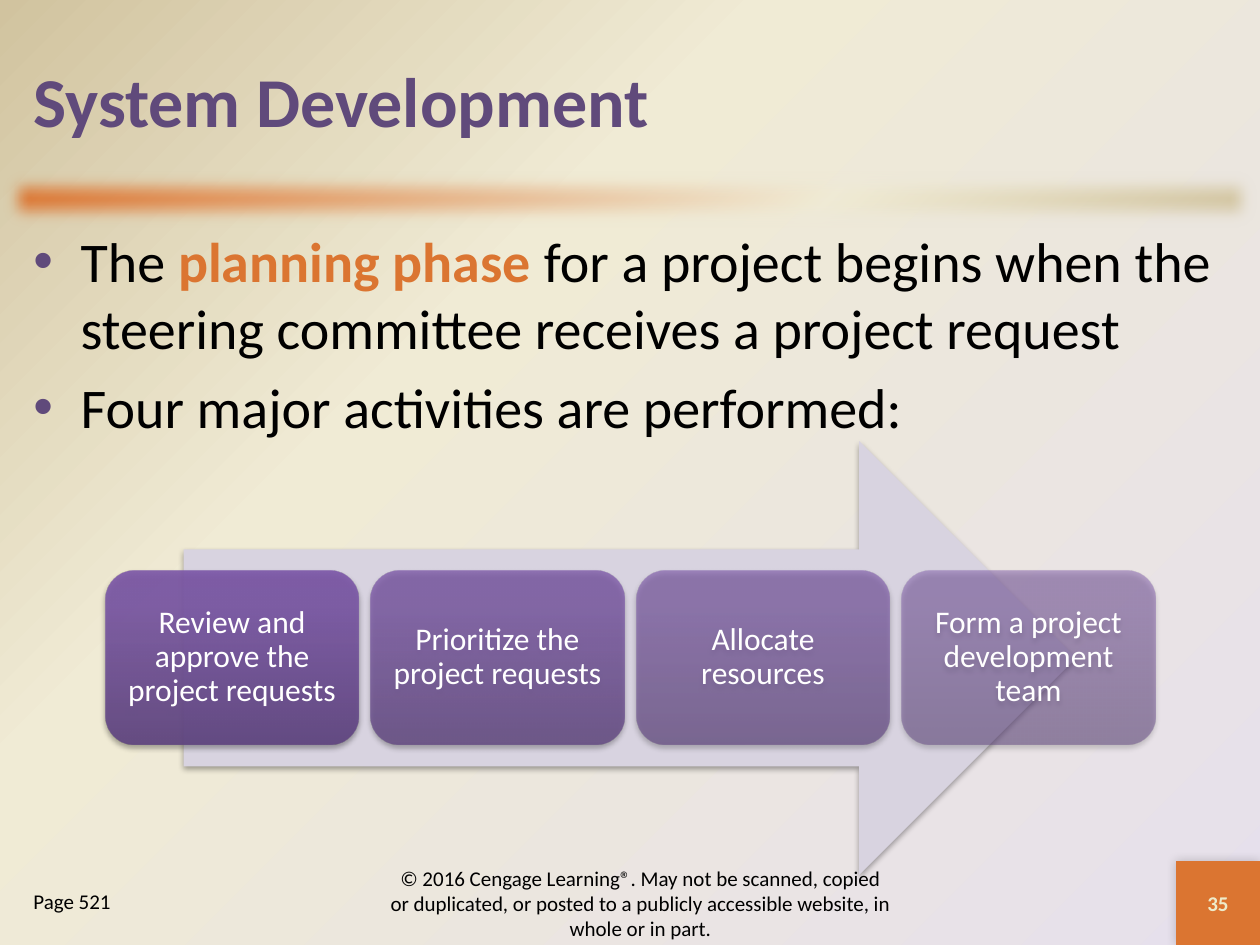
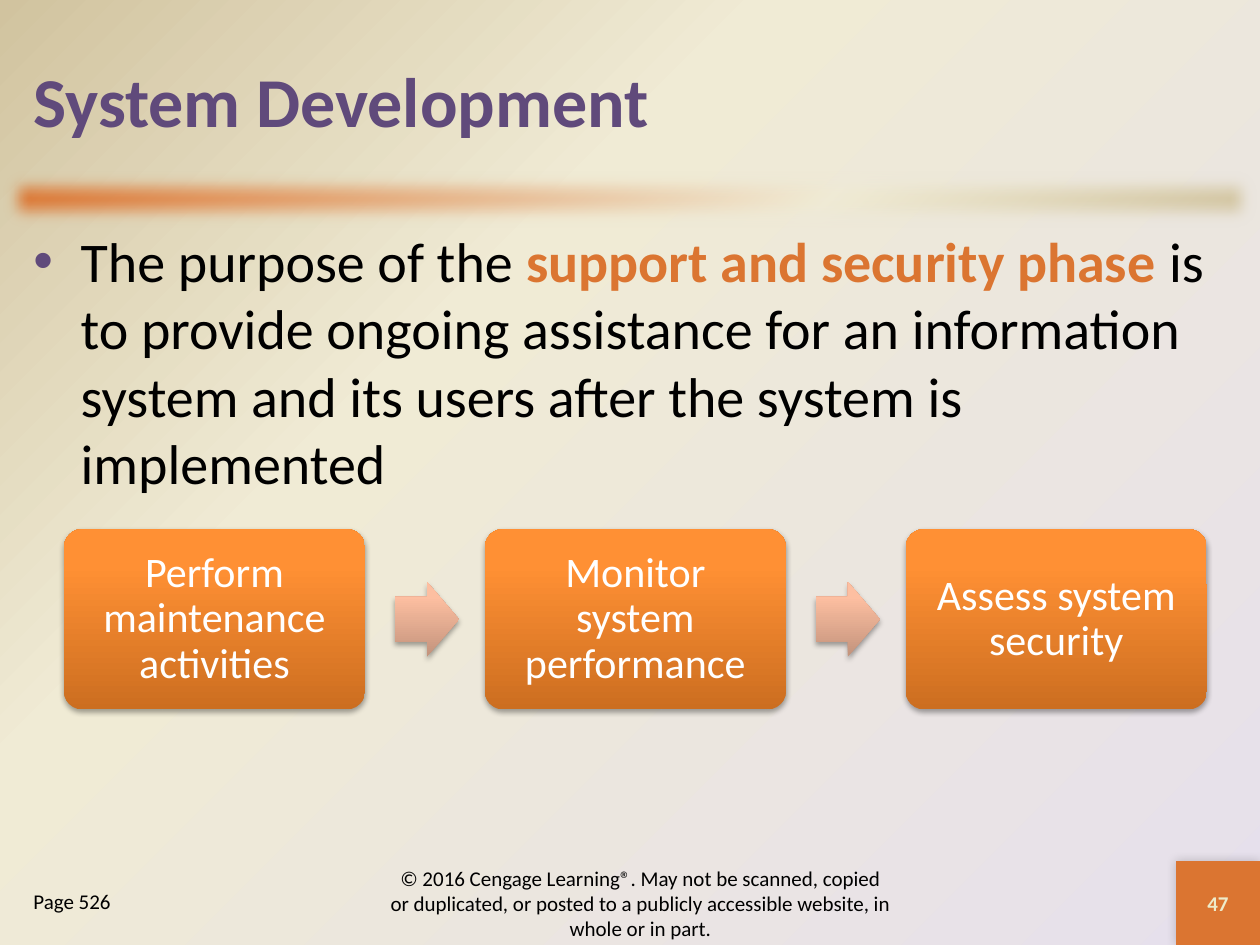
from lxml import etree
from pptx import Presentation
from pptx.dml.color import RGBColor
from pptx.enum import shapes, text
from pptx.oxml import parse_xml
from pptx.oxml.ns import nsdecls, qn
from pptx.util import Pt

BLACK, WHITE, CREAM = "000000", "FFFFFF", "EEEBCA"
PURPLE, ORANGE, LAVENDER = "604A7B", "DB7531", "D8D3E0"
BACKDROP = [(0, "E6E0EC"), (65, "F0EBD5"), (100, "D1C39F")]
BAND = [(0, ORANGE)] + BACKDROP[1:]
PURPLE_CARD = [(0, "5F4480"), (80, "7B58A6"), (100, "7C57A8")]
ORANGE_CARD = [(0, "CC6E20"), (80, "FF9034"), (100, "FF9136")]
PEACH_ARROW = [(0, "C3937C"), (80, "FDBFA1"), (100, "FFBFA1")]
CARD_SHADOW = dict(alpha=35, blur=3.1, distance=1.8, direction=90)
COPYRIGHT = ("© 2016 Cengage Learning®. May not be scanned, copied or duplicated, "
             "or posted to a publicly accessible website, in whole or in part.")
RECT = shapes.MSO_SHAPE.RECTANGLE
ROUNDED = shapes.MSO_SHAPE.ROUNDED_RECTANGLE
ARROW = shapes.MSO_SHAPE.RIGHT_ARROW
CENTER = text.PP_ALIGN.CENTER
TOP, MIDDLE = text.MSO_ANCHOR.TOP, text.MSO_ANCHOR.MIDDLE


def color(hex_string):
    return RGBColor.from_string(hex_string)


def set_gradient(holder, stops, direction, alpha=100):
    """Swap the solid fill inside holder for a gradient; direction is its closing XML."""
    stop_xml = "".join(
        f'<a:gs pos="{pos * 1000}"><a:srgbClr val="{tone}">'
        f'<a:alpha val="{alpha * 1000}"/></a:srgbClr></a:gs>' for pos, tone in stops)
    gradient = parse_xml(f'<a:gradFill {nsdecls("a")} rotWithShape="1">'
                         f'<a:gsLst>{stop_xml}</a:gsLst>{direction}</a:gradFill>')
    holder.replace(holder.find(qn("a:solidFill")), gradient)


def linear(angle):
    return f'<a:lin ang="{angle * 60000}" scaled="0"/>'


def add_effect(shape, xml):
    shape.element.spPr.find(qn("a:effectLst")).append(parse_xml(xml))


def shadow_xml(alpha, blur, distance, direction):
    return (f'<a:outerShdw {nsdecls("a")} blurRad="{Pt(blur)}" dist="{Pt(distance)}" '
            f'dir="{direction * 60000}" rotWithShape="0"><a:srgbClr val="{BLACK}">'
            f'<a:alpha val="{alpha * 1000}"/></a:srgbClr></a:outerShdw>')


def add_bullet(paragraph, indent):
    properties = paragraph._p.get_or_add_pPr()
    properties.set("marL", str(Pt(indent)))
    properties.set("indent", str(-Pt(indent)))
    tone = etree.SubElement(properties, qn("a:buClr"))
    etree.SubElement(tone, qn("a:srgbClr")).set("val", PURPLE)
    etree.SubElement(properties, qn("a:buFont")).set("typeface", "Arial")
    etree.SubElement(properties, qn("a:buChar")).set("char", "•")


def write(shape, paragraphs, size=12, tone=BLACK, bold=False, align=text.PP_ALIGN.LEFT,
          anchor=TOP, inset=None, spacing=None, bullets=False, gap=0):
    """Fill shape with paragraphs, each a string or a list of strings whose odd items are key terms."""
    frame = shape.text_frame
    frame.word_wrap = True
    frame.vertical_anchor = anchor
    if inset is not None:
        frame.margin_left = frame.margin_right = Pt(inset)
        frame.margin_top = frame.margin_bottom = Pt(inset)
    for number, content in enumerate(paragraphs):
        paragraph = frame.add_paragraph() if number else frame.paragraphs[0]
        paragraph.alignment = align
        if spacing:
            paragraph.line_spacing = spacing
        if number:
            paragraph.space_before = Pt(gap)
        if bullets:
            add_bullet(paragraph, 27)
        for part, words in enumerate([content] if isinstance(content, str) else content):
            key_term = part % 2 == 1
            run = paragraph.add_run()
            run.text = words
            run.font.name = "Calibri"
            run.font.size = Pt(size)
            run.font.bold = bold or key_term
            run.font.color.rgb = color(ORANGE if key_term else tone)


class Deck:
    """Holds the presentation, its style and the slide being built."""

    def __init__(self):
        self.presentation = Presentation()
        self.presentation.slide_width, self.presentation.slide_height = Pt(720), Pt(540)
        self.slide = None

    def shape(self, kind, box, fill, angle=270, alpha=100, shadow=None, adjustments=()):
        """Add a borderless preset shape; fill is a hex string or a list of gradient stops."""
        shape = self.slide.shapes.add_shape(kind, *map(Pt, box))
        for index, value in enumerate(adjustments):
            shape.adjustments[index] = value
        solid = isinstance(fill, str)
        shape.fill.solid()
        shape.fill.fore_color.rgb = color(fill if solid else fill[0][1])
        if not solid:
            set_gradient(shape.element.spPr, fill, linear(angle), alpha)
        shape.line.fill.background()
        shape.shadow.inherit = False
        if shadow:
            add_effect(shape, shadow_xml(**shadow))
        return shape

    def text_box(self, box, paragraphs, **style):
        write(self.slide.shapes.add_textbox(*map(Pt, box)), paragraphs, **style)

    def card(self, box, label, fill, size, inset, **look):
        card = self.shape(ROUNDED, box, fill, shadow=CARD_SHADOW, **look)
        write(card, [label], size=size, tone=WHITE, align=CENTER, anchor=MIDDLE,
              inset=inset, spacing=0.9)

    def new_slide(self, title, points, page, number):
        """Start a slide with backdrop, band, title, bullet points and footer."""
        self.slide = self.presentation.slides.add_slide(self.presentation.slide_layouts[6])
        backdrop = self.slide.background.fill
        backdrop.solid()
        backdrop.fore_color.rgb = color(BACKDROP[0][1])
        set_gradient(self.slide.element.find(".//" + qn("p:bgPr")), BACKDROP,
                     '<a:path path="circle"><a:fillToRect l="100000" t="100000"/></a:path>')
        band = self.shape(RECT, (0, 96, 720, 36), BAND, angle=45)
        add_effect(band, f'<a:softEdge {nsdecls("a")} rad="{Pt(10)}"/>')
        number_tile = self.shape(RECT, (672, 492, 48, 48), ORANGE, shadow=dict(
            alpha=20, blur=6, distance=0, direction=225))
        write(number_tile, [number], tone=CREAM, bold=True, align=CENTER, anchor=MIDDLE)
        self.text_box((12, 12, 696, 90), [title], size=40, tone=PURPLE, bold=True, anchor=MIDDLE)
        self.text_box((12, 126, 696, 366), points, size=32, bullets=True, gap=6.4)
        self.text_box((216, 498, 300, 36), [COPYRIGHT], align=CENTER, anchor=MIDDLE)
        self.text_box((12, 504, 132, 36), [page])


def planning_slide(deck):
    deck.new_slide("System Development", [
        ["The ", "planning phase ",
         "for a project begins when the steering committee receives a project request"],
        "Four major activities are performed:"], "Page 521", "35")
    deck.shape(ARROW, (105, 252, 510, 248), LAVENDER, shadow=CARD_SHADOW)
    activities = ["Review and approve the project requests", "Prioritize the project requests",
                  "Allocate resources", "Form a project development team"]
    for index, activity in enumerate(activities):
        deck.card((60.2 + 151.7 * index, 326, 144.9, 99.5), activity, PURPLE_CARD,
                  size=18, inset=5, alpha=round(90 - 40 * index / 3))


def support_slide(deck):
    deck.new_slide("System Development", [
        ["The purpose of the ", "support and security phase ",
         "is to provide ongoing assistance for an information system and its users "
         "after the system is implemented"]], "Page 526", "47")
    left, width, step = 36.6, 172, 240.5
    activities = ["Perform maintenance activities", "Monitor system performance",
                  "Assess system security"]
    for index, activity in enumerate(activities):
        card_left = left + step * index
        if index:
            deck.shape(ARROW, (card_left - step + width * 1.1, 332.6, 36.5, 42.6), PEACH_ARROW,
                       shadow=CARD_SHADOW, adjustments=(0.6, 0.5))
        deck.card((card_left, 302.4, width, 103), activity, ORANGE_CARD,
                  size=24, inset=7.2, adjustments=(0.1,))


def main():
    deck = Deck()
    planning_slide(deck)
    support_slide(deck)
    deck.presentation.save("out.pptx")


if __name__ == "__main__":
    main()
